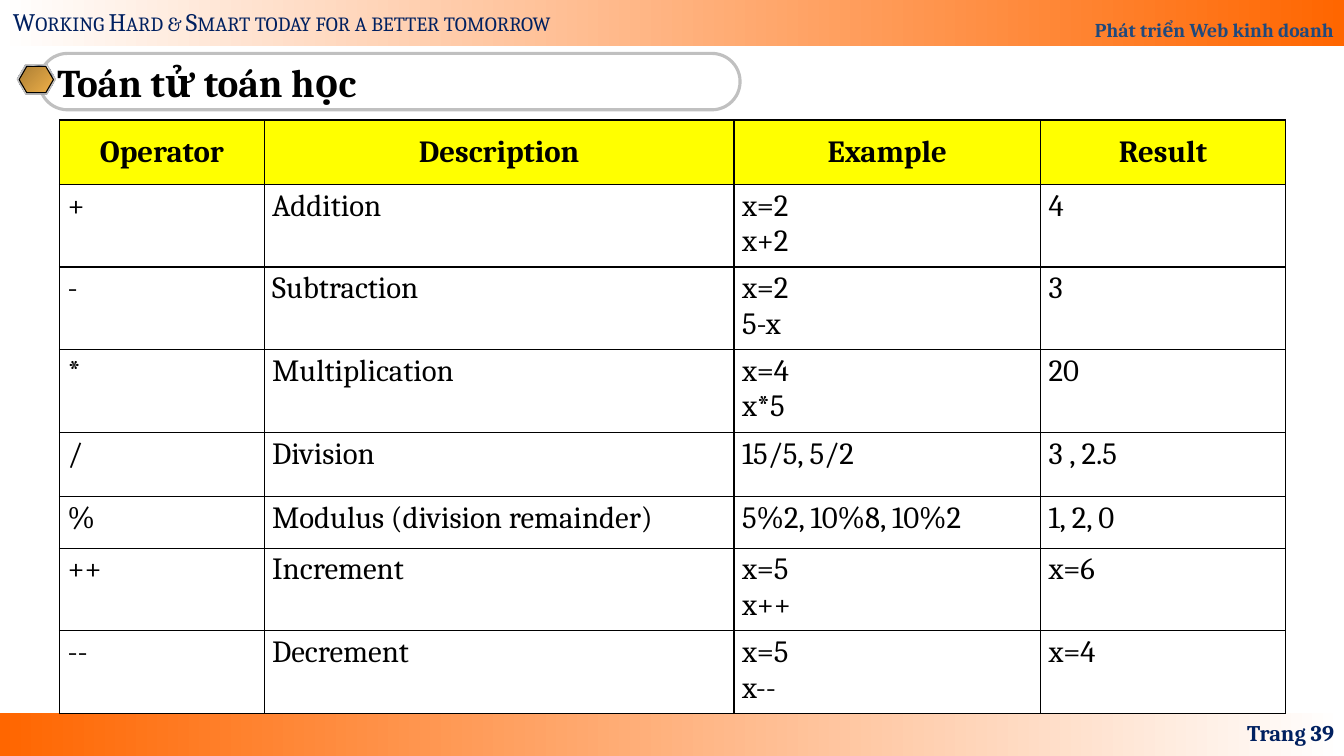
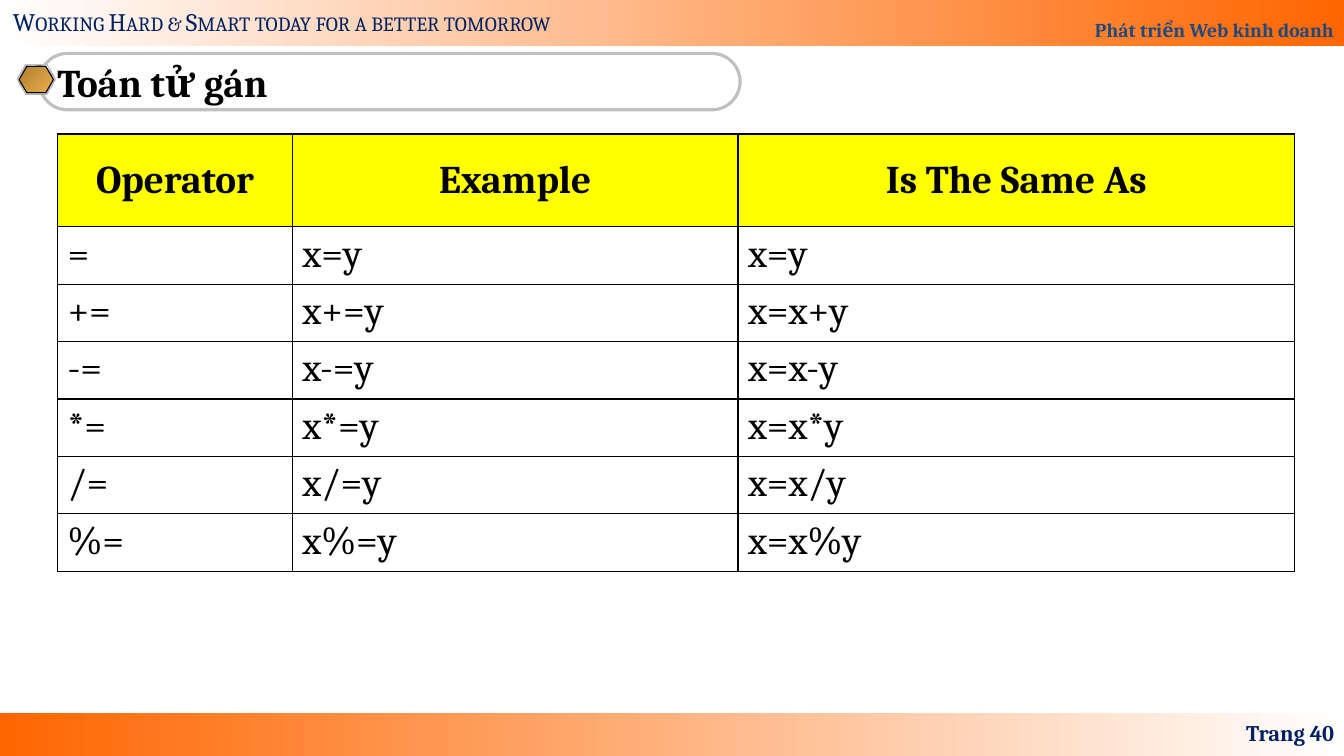
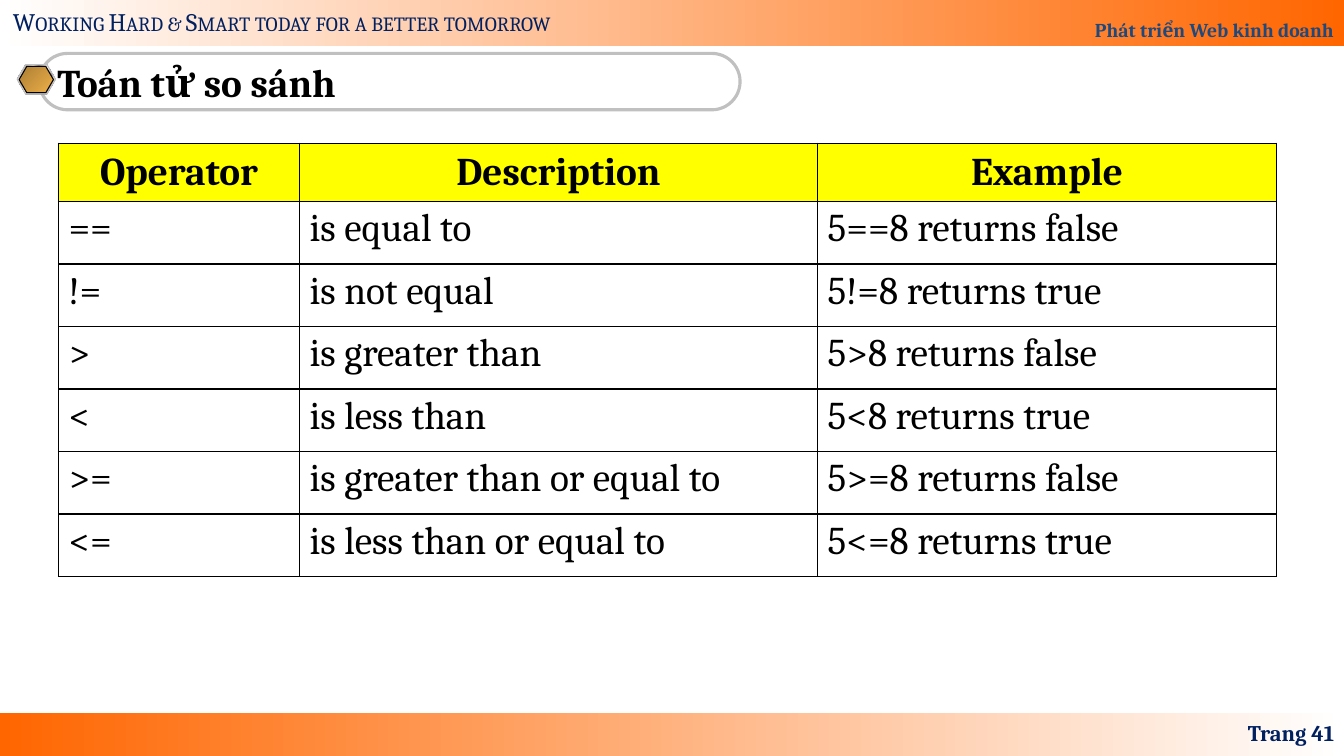
from dataclasses import dataclass

from lxml import etree
from pptx import Presentation
from pptx.dml.color import RGBColor
from pptx.enum import shapes, text
from pptx.oxml.ns import qn
from pptx.util import Inches, Pt

SHAPE = shapes.MSO_SHAPE
LEFT, MID, RIGHT = text.PP_ALIGN.LEFT, text.PP_ALIGN.CENTER, text.PP_ALIGN.RIGHT
NO_STYLE = "{2D5ABB26-0587-4C30-8999-92F81FD0307C}"


# Colours and type sizes
@dataclass(frozen=True)
class Theme:
    font: str = "Cambria"
    ink: str = "000000"
    navy: str = "002060"
    blue: str = "1F497D"
    head: str = "FFFF00"
    edge: str = "C0C0C0"
    shade: str = "808080"
    band: tuple = ((0, "FFFFFF"), (100, "FF6600"))
    foot: tuple = ((0, "FF6600"), (100, "FFFFFF"))
    gold: tuple = ((0, "AB7E34"), (100, "EFB049"))
    steel: tuple = ((0, "E6E6E6"), (7, "7D8496"), (26, "E6E6E6"),
                    (34, "7D8496"), (46, "E6E6E6"), (50, "FFFFFF"),
                    (54, "E6E6E6"), (66, "7D8496"), (74, "E6E6E6"),
                    (93, "7D8496"), (100, "E6E6E6"))
    title: int = 28
    motto: int = 18
    page: int = 16
    course: int = 14


def rgb(code):
    return RGBColor.from_string(code)


class Deck:
    def __init__(self, theme):
        self.theme = theme
        self.prs = Presentation()
        self.prs.slide_width, self.prs.slide_height = Inches(13.33), Inches(7.5)
        self.layout = self.prs.slide_layouts[5]
        self.slide = None

    # Text and shapes
    def put(self, frame, words, size, color, bold=True, align=LEFT,
            anchor=text.MSO_ANCHOR.MIDDLE):
        frame.word_wrap = True
        frame.vertical_anchor = anchor
        para = frame.paragraphs[0]
        para.text = words
        para.alignment = align
        for run in para.runs:
            font = run.font
            font.name, font.size, font.bold = self.theme.font, Pt(size), bold
            font.color.rgb = rgb(color)
        return para

    def label(self, box, words, size, color, **style):
        shape = self.slide.shapes.add_textbox(*map(Inches, box))
        self.put(shape.text_frame, words, size, color, **style)
        return shape

    def shape(self, kind, box, fill=None, line=None, width=0.75, angle=0):
        shape = self.slide.shapes.add_shape(kind, *map(Inches, box))
        shape.shadow.inherit = False
        if fill is None:
            shape.fill.background()
        elif isinstance(fill, str):
            shape.fill.solid()
            shape.fill.fore_color.rgb = rgb(fill)
        else:
            self.blend(shape, fill, angle)
        if line:
            shape.line.color.rgb = rgb(line)
            shape.line.width = Pt(width)
        else:
            shape.line.fill.background()
        return shape

    def blend(self, shape, stops, angle):
        shape.fill.gradient()
        shape.fill.gradient_angle = -angle % 360
        marks = shape.element.spPr.find(qn("a:gradFill")).find(qn("a:gsLst"))
        for old in list(marks):
            marks.remove(old)
        for pos, color in stops:
            mark = etree.SubElement(marks, qn("a:gs"), pos=str(pos * 1000))
            etree.SubElement(mark, qn("a:srgbClr"), val=color)

    # Bands and motto, moved to the layout that all slides use
    def frame(self):
        t = self.theme
        foot = self.shape(SHAPE.RECTANGLE, (0, 7.07, 13.33, 0.43), t.foot)
        band = self.shape(SHAPE.RECTANGLE, (0, 0, 13.33, 0.46), t.band)
        para = self.put(band.text_frame, "Phát triển Web kinh doanh", t.course,
                        t.blue, align=RIGHT, anchor=text.MSO_ANCHOR.BOTTOM)
        para.line_spacing = 1.8
        band.text_frame.auto_size = text.MSO_AUTO_SIZE.SHAPE_TO_FIT_TEXT
        motto = self.label((0.03, 0.01, 5.9, 0.4),
                           "Working Hard & Smart today for a better tomorrow",
                           t.motto, t.navy, bold=False,
                           anchor=text.MSO_ANCHOR.TOP)
        for run in motto.text_frame.paragraphs[0].runs:
            run.font._element.set("cap", "small")
        for part in (foot, band, motto):
            self.layout.element.cSld.spTree.append(part.element)

    # New slide with its title, badge and page number
    def page(self, title, number):
        t = self.theme
        first = self.slide is None
        self.slide = self.prs.slides.add_slide(self.layout)
        if first:
            self.frame()
        pill = self.shape(SHAPE.ROUNDED_RECTANGLE, (0.39, 0.53, 6.95, 0.56),
                          line=t.edge, width=2.25)
        pill.adjustments[0] = 0.5
        for box, fill, line in (((0.17, 0.65, 0.38, 0.29), t.shade, None),
                                ((0.17, 0.64, 0.38, 0.29), t.steel, t.edge),
                                ((0.19, 0.66, 0.34, 0.26), t.gold, t.ink)):
            gem = self.shape(SHAPE.HEXAGON, box, fill, line, angle=45)
            gem.adjustments[0] = 0.29
        head = self.slide.shapes.title
        head.left, head.top, head.width, head.height = map(
            Inches, (0.47, 0.53, 6.8, 0.56))
        self.put(head.text_frame, title, t.title, t.ink)
        head.text_frame.auto_size = text.MSO_AUTO_SIZE.NONE
        self.label((10.22, 7.07, 3.11, 0.4), f"Trang {number}", t.page, t.navy,
                   align=RIGHT)

    # Table with a yellow head row and thin black rules
    def table(self, left, top, cols, heights, rows, size=28, pad=0.1):
        box = map(Inches, (left, top, sum(cols), sum(heights)))
        grid = self.slide.shapes.add_table(len(rows), len(cols), *box).table
        grid.first_row = grid.horz_banding = False
        grid._tbl.tblPr.find(qn("a:tableStyleId")).text = NO_STYLE
        for col, width in zip(grid.columns, cols):
            col.width = Inches(width)
        for r, (row, height) in enumerate(zip(rows, heights)):
            grid.rows[r].height = Inches(height)
            for c, words in enumerate(row):
                self.cell(grid.cell(r, c), words, size, pad, r == 0)

    def cell(self, cell, words, size, pad, head):
        t = self.theme
        cell.margin_left = cell.margin_right = Inches(pad)
        cell.margin_top = cell.margin_bottom = Inches(pad / 2)
        self.put(cell.text_frame, words, size, t.ink, bold=head,
                 align=MID if head else LEFT, anchor=None)
        cell.vertical_anchor = (text.MSO_ANCHOR.MIDDLE if head
                                else text.MSO_ANCHOR.TOP)
        props = cell._tc.get_or_add_tcPr()
        for side in ("lnL", "lnR", "lnT", "lnB"):
            rule = etree.SubElement(props, qn("a:" + side), w=str(Pt(1)))
            fill = etree.SubElement(rule, qn("a:solidFill"))
            etree.SubElement(fill, qn("a:srgbClr"), val=t.ink)
        if head:
            cell.fill.solid()
            cell.fill.fore_color.rgb = rgb(t.head)
        else:
            cell.fill.background()


def main():
    deck = Deck(Theme())

    # Arithmetic operators
    deck.page("Toán tử toán học", 39)
    one, two = 0.64, 0.82
    deck.table(0.59, 1.19, (2.03, 4.66, 3.04, 2.43),
               (one, two, two, two, one, 0.51, two, two), (
                   ("Operator", "Description", "Example", "Result"),
                   ("+", "Addition", "x=2\nx+2", "4"),
                   ("-", "Subtraction", "x=2\n5-x", "3"),
                   ("*", "Multiplication", "x=4\nx*5", "20"),
                   ("/", "Division", "15/5, 5/2", "3 , 2.5"),
                   ("%", "Modulus (division remainder)", "5%2, 10%8, 10%2",
                    "1, 2, 0"),
                   ("++", "Increment", "x=5\nx++", "x=6"),
                   ("--", "Decrement", "x=5\nx--", "x=4")),
               size=22, pad=0.08)

    # Assignment operators
    deck.page("Toán tử gán", 40)
    rows = [("Operator", "Example", "Is The Same As"), ("=", "x=y", "x=y")]
    rows += [(f"{op}=", f"x{op}=y", f"x=x{op}y") for op in "+-*/%"]
    deck.table(0.57, 1.33, (2.33, 4.42, 5.52), [0.92] + [0.57] * 6, rows)

    # Comparison operators
    deck.page("Toán tử so sánh", 41)
    tests = (("==", "is equal to", "false"),
             ("!=", "is not equal", "true"),
             (">", "is greater than", "false"),
             ("<", "is less than", "true"),
             (">=", "is greater than or equal to", "false"),
             ("<=", "is less than or equal to", "true"))
    rows = [("Operator", "Description", "Example")]
    rows += [(op, name, f"5{op}8 returns {value}") for op, name, value in tests]
    deck.table(0.58, 1.42, (2.39, 5.14, 4.55), [0.58] + [0.62] * 6, rows)

    deck.prs.save("out.pptx")


if __name__ == "__main__":
    main()
